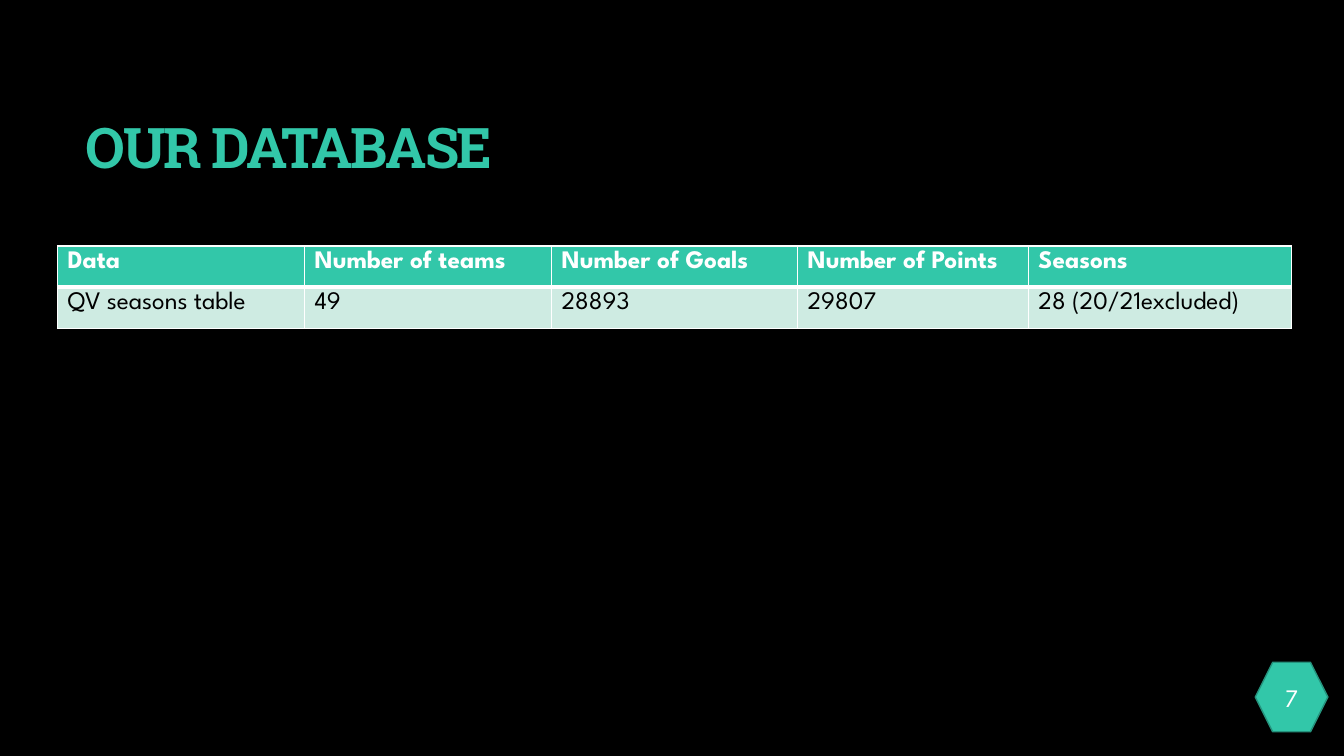
"""Build the database slide with its title, data table and page badge."""
from dataclasses import dataclass

from lxml.etree import SubElement as Sub
from pptx import Presentation
from pptx.dml.color import RGBColor as RGB
from pptx.enum.shapes import MSO_SHAPE as Shape
from pptx.enum.text import MSO_ANCHOR as Anchor, MSO_AUTO_SIZE as Auto, PP_ALIGN as Align
from pptx.oxml import parse_xml
from pptx.oxml.ns import nsdecls, qn
from pptx.util import Inches, Pt

TEAL, EDGE, MINT = "32C7A9", "25937D", "CEEBE2"
WHITE, BLACK = "FFFFFF", "000000"
BODY, HEAD = "League Spartan", "Roboto Slab"


@dataclass
class Row:
    cells: list[str]
    fill: str
    ink: str
    bold: bool
    base: float


WIDTHS = [2.45, 2.45, 2.44, 2.29, 2.61]
ROWS = [
    Row(["Data", "Number of teams", "Number of Goals", "Number of Points", "Seasons"],
        TEAL, WHITE, True, 3),
    Row(["QV seasons table", "49", "28893", "29807", "28 (20/21excluded)"],
        MINT, BLACK, False, 1),
]


def paint(fill, color: str) -> None:
    fill.solid()
    fill.fore_color.rgb = RGB.from_string(color)


def style(frame, face: str, size: float, color: str, bold: bool = False) -> None:
    for run in frame.paragraphs[0].runs:
        font = run.font
        font.name, font.size, font.bold = face, Pt(size), bold
        paint(font.fill, color)


def edge(cell, side: str, width: float) -> None:
    line = Sub(cell._tc.get_or_add_tcPr(), qn(f"a:ln{side}"), w=str(Pt(width)))
    Sub(Sub(line, qn("a:solidFill")), qn("a:srgbClr"), val=WHITE)


def add_title(slide) -> None:
    title = slide.shapes.title
    title.left, title.top = Inches(0.75), Inches(0.79)
    title.width, title.height = Inches(9.42), Inches(1.41)
    frame = title.text_frame
    frame.text = "OUR DATABASE"
    frame.word_wrap, frame.auto_size = True, Auto.NONE
    frame.vertical_anchor = Anchor.MIDDLE
    para = frame.paragraphs[0]
    para.alignment, para.line_spacing = Align.LEFT, 0.9
    style(frame, HEAD, 40, TEAL, True)
    props = para.runs[0].font._element
    props.set("spc", "-150")
    props.insert(0, parse_xml(
        f'<a:ln {nsdecls("a")} w="{Pt(0.75)}"><a:solidFill>'
        f'<a:srgbClr val="{BLACK}"/></a:solidFill></a:ln>'))


def add_data(slide) -> None:
    table = slide.shapes.add_table(
        len(ROWS), len(WIDTHS), Inches(0.57), Inches(2.44),
        Inches(sum(WIDTHS)), Inches(0.82)).table
    table.horz_banding = False
    for col, width in zip(table.columns, WIDTHS):
        col.width = Inches(width)
    for line, row in zip(table.rows, ROWS):
        line.height = Inches(0.41)
        top = 1 if row is ROWS[0] else ROWS[0].base
        for cell, text in zip(line.cells, row.cells):
            cell.text_frame.text = text
            style(cell.text_frame, BODY, 18, row.ink, row.bold)
            for side, width in zip("LRTB", (1, 1, top, row.base)):
                edge(cell, side, width)
            paint(cell.fill, row.fill)


def add_badge(slide) -> None:
    badge = slide.shapes.add_shape(
        Shape.HEXAGON, Inches(12.45), Inches(6.57), Inches(0.72), Inches(0.69))
    badge.shadow.inherit = False
    paint(badge.fill, TEAL)
    paint(badge.line.fill, EDGE)
    badge.line.width = Pt(1)
    frame = badge.text_frame
    frame.text = "7"
    frame.vertical_anchor = Anchor.MIDDLE
    frame.paragraphs[0].alignment = Align.CENTER
    style(frame, BODY, 18, WHITE)


def main() -> None:
    deck = Presentation()
    deck.slide_width, deck.slide_height = Inches(13.33), Inches(7.5)
    slide = deck.slides.add_slide(deck.slide_layouts[5])
    paint(slide.background.fill, BLACK)
    add_title(slide)
    add_data(slide)
    add_badge(slide)
    deck.save("out.pptx")


if __name__ == "__main__":
    main()
